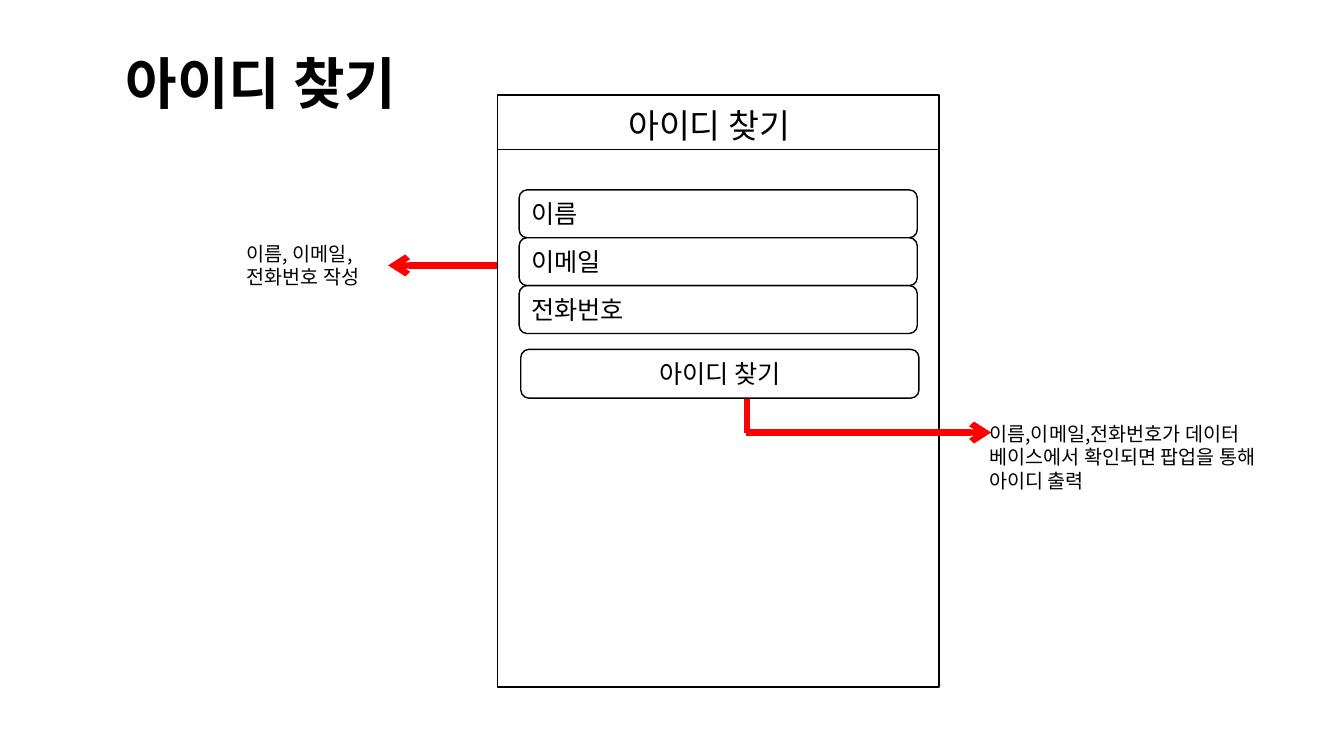
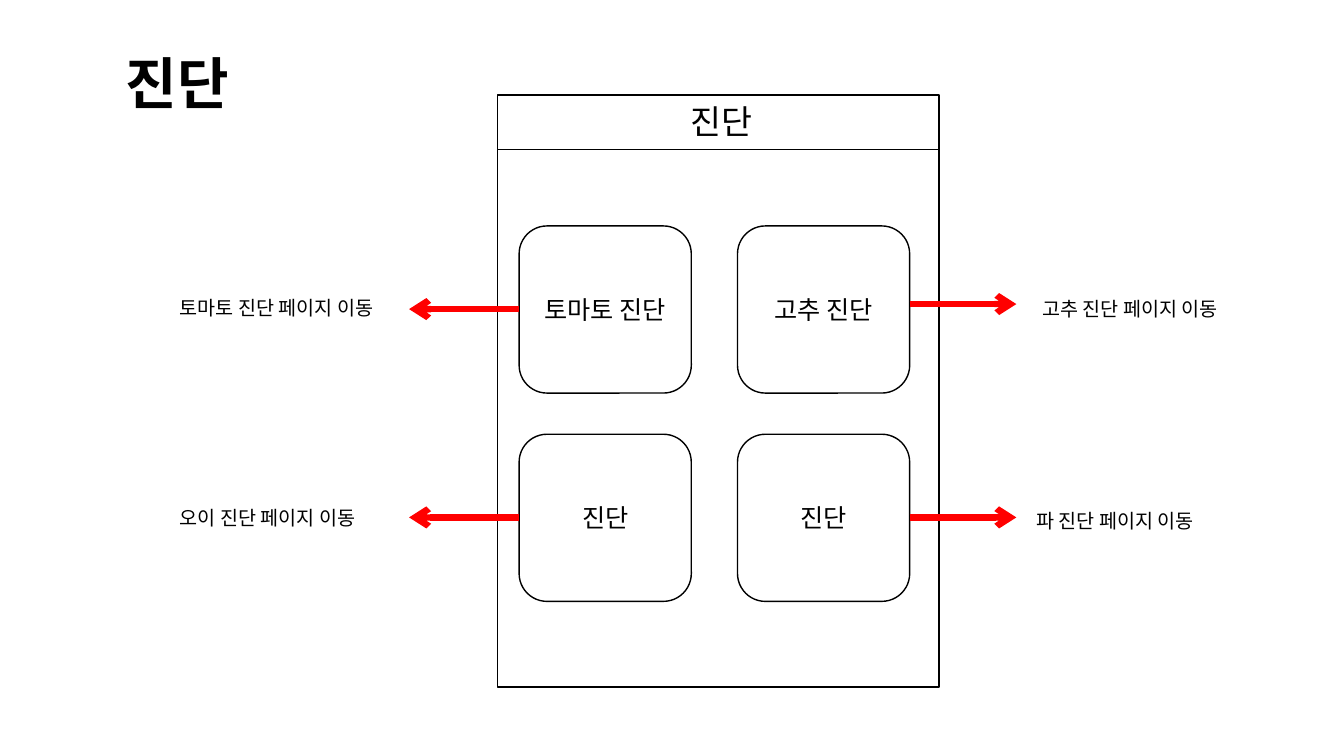
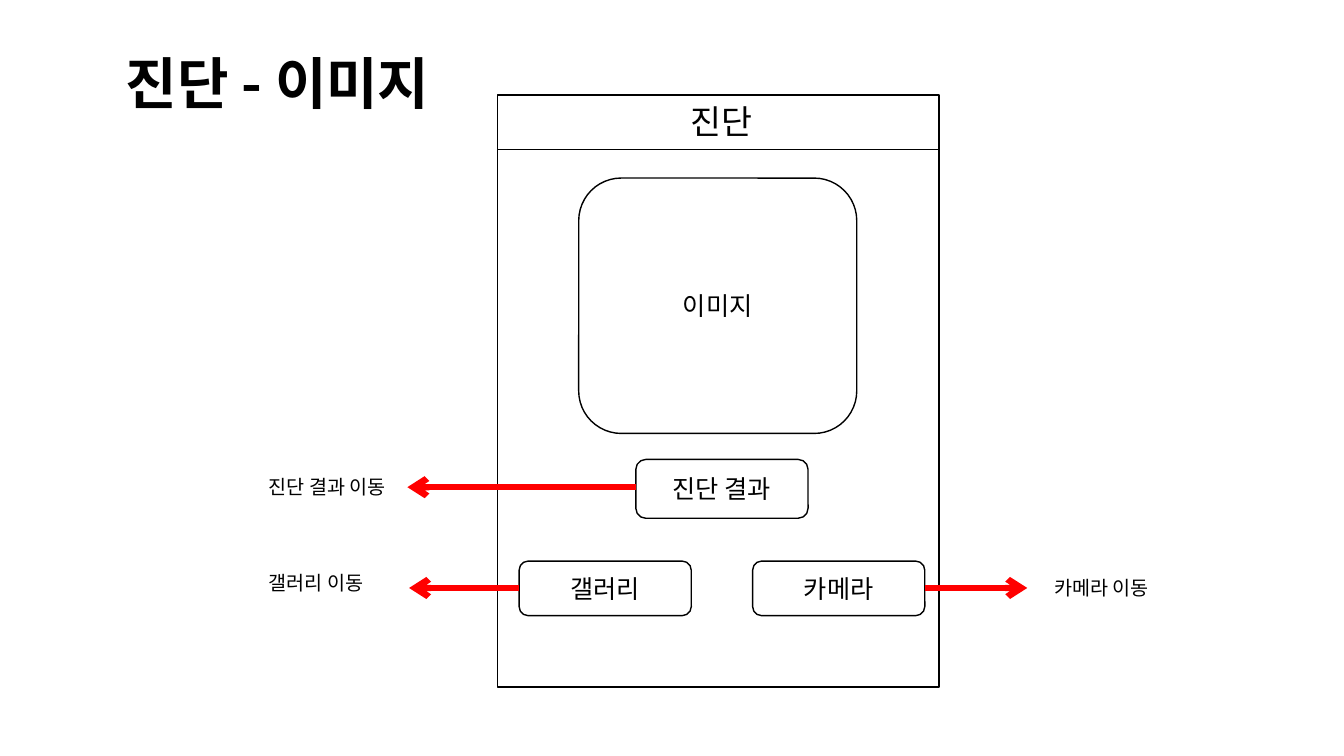
from dataclasses import dataclass

from pptx import Presentation
from pptx.dml.color import RGBColor
from pptx.enum.shapes import MSO_CONNECTOR, MSO_SHAPE
from pptx.enum.text import MSO_ANCHOR, MSO_AUTO_SIZE, PP_ALIGN
from pptx.oxml.ns import qn
from pptx.util import Inches, Pt
from lxml.etree import SubElement

CELL = Inches(1) // 12
COLUMNS, ROWS = 160, 90
TITLE_ONLY = 5


@dataclass(frozen=True)
class Theme:
    font: str = "Noto Sans CJK KR"
    ink: RGBColor = RGBColor(0, 0, 0)
    paper: RGBColor = RGBColor(255, 255, 255)
    accent: RGBColor = RGBColor(255, 0, 0)
    title: int = 40
    header: int = 24
    control: int = 18
    note: int = 14
    outline: float = 1
    arrow: float = 4.5


def cells(*counts):
    """Turn columns and rows of the grid into lengths."""
    return [round(count * CELL) for count in counts]


class Wireframes:
    """Slides with an app screen and red call-outs, laid out on a square grid."""

    title_box = (13.8, 5.2, 45.4, 9.2)
    screen_box = (59.2, 11.8, 52.6, 70)
    header_box = (59.2, 11.3, 52.6, 6.5)

    def __init__(self, theme):
        self.theme = theme
        self.deck = Presentation()
        self.deck.slide_width, self.deck.slide_height = cells(COLUMNS, ROWS)
        self.slide = None

    def screen(self, title, header, header_left=81, header_top=11.4):
        layout = self.deck.slide_layouts[TITLE_ONLY]
        self.slide = self.deck.slides.add_slide(layout)
        self.title(title)
        for box in (self.screen_box, self.header_box):
            self.panel(box, MSO_SHAPE.RECTANGLE)
        self.text((header_left, header_top, 30, 6), [header], self.theme.header)

    def title(self, words):
        heading = self.slide.shapes.title
        heading.left, heading.top, heading.width, heading.height = cells(*self.title_box)
        frame = heading.text_frame
        frame.auto_size = MSO_AUTO_SIZE.NONE
        frame.vertical_anchor = MSO_ANCHOR.TOP
        self.set_lines(frame, [words], self.theme.title, bold=True)

    def set_lines(self, frame, lines, size, align=PP_ALIGN.LEFT, bold=False):
        frame.word_wrap = True
        for index, words in enumerate(lines):
            paragraph = frame.add_paragraph() if index else frame.paragraphs[0]
            paragraph.alignment = align
            run = paragraph.add_run()
            run.text = words
            run.font.size = Pt(size)
            run.font.bold = bold
            run.font.color.rgb = self.theme.ink
            run.font.name = self.theme.font
            east_asian = SubElement(run._r.get_or_add_rPr(), qn("a:ea"))
            east_asian.set("typeface", self.theme.font)

    def text(self, box, lines, size):
        frame = self.slide.shapes.add_textbox(*cells(*box)).text_frame
        self.set_lines(frame, lines, size)

    def note(self, left, top, *lines, width=32, height=4.1):
        self.text((left, top, width, height), lines, self.theme.note)

    def panel(self, box, kind):
        panel = self.slide.shapes.add_shape(kind, *cells(*box))
        panel.shadow.inherit = False
        panel.fill.solid()
        panel.fill.fore_color.rgb = self.theme.paper
        panel.line.color.rgb = self.theme.ink
        panel.line.width = Pt(self.theme.outline)
        return panel

    def control(self, box, label, align=PP_ALIGN.CENTER):
        frame = self.panel(box, MSO_SHAPE.ROUNDED_RECTANGLE).text_frame
        frame.vertical_anchor = MSO_ANCHOR.MIDDLE
        self.set_lines(frame, [label], self.theme.control, align)

    def line(self, start, end, head=True):
        line = self.slide.shapes.add_connector(
            MSO_CONNECTOR.STRAIGHT, *cells(*start, *end))
        line.line.color.rgb = self.theme.accent
        line.line.width = Pt(self.theme.arrow)
        properties = line._element.spPr
        if head:
            SubElement(properties.find(qn("a:ln")), qn("a:tailEnd")).set("type", "arrow")
        SubElement(properties, qn("a:effectLst"))

    def arrow(self, start, end, row):
        self.line((start, row), (end, row))


def find_id(deck):
    deck.screen("아이디 찾기", "아이디 찾기", header_left=73.6, header_top=11.9)
    deck.arrow(59.2, 46.2, 31.6)
    deck.note(28.2, 28.2, "이름, 이메일,", "전화번호 작성", width=23.2, height=6.8)
    deck.arrow(88.8, 118, 51.5)
    deck.line((88.9, 46.9), (88.9, 51.6), head=False)
    deck.control((62, 41.6, 47.4, 5.8), "아이디 찾기")
    deck.note(116.6, 49.6, "이름,이메일,전화번호가 데이터",
              "베이스에서 확인되면 팝업을 통해 아이디 출력", width=35.4, height=9.7)
    for index, field in enumerate(["이름", "이메일", "전화번호"]):
        deck.control((61.8, 22.6 + 5.7 * index, 47.4, 5.7), field, PP_ALIGN.LEFT)


def diagnosis(deck):
    deck.screen("진단", "진단")
    left, right, width, height = 61.8, 87.8, 20.5, 19.9
    for row, labels in enumerate([("토마토 진단", "고추 진단"), ("진단", "진단")]):
        for column, label in zip((left, right), labels):
            deck.control((column, 26.9 + 24.8 * row, width, height), label)
    for row in (36.8, 61.6):
        deck.arrow(left, 48.7, row)
    for row in (36.2, 61.6):
        deck.arrow(right + width, 121, row)
    deck.note(20.2, 34.6, "토마토 진단 페이지 이동")
    deck.note(20.2, 59.6, "오이 진단 페이지 이동")
    deck.note(122.9, 34.8, "고추 진단 페이지 이동")
    deck.note(122.2, 60, "파 진단 페이지 이동")


def diagnosis_image(deck):
    deck.screen("진단 - 이미지", "진단")
    result, gallery, camera, width = 75.7, 61.8, 89.6, 20.5
    deck.control((68.9, 21.2, 33.1, 30.4), "이미지")
    deck.control((result, 54.7, width, 7), "진단 결과")
    deck.control((gallery, 66.8, width, 6.5), "갤러리")
    deck.control((camera, 66.8, width, 6.5), "카메라")
    deck.arrow(result, 48.5, 58)
    deck.arrow(gallery, 48.7, 70)
    deck.arrow(camera + width, 122.3, 70)
    deck.note(30.8, 55.9, "진단 결과 이동", width=19.2)
    deck.note(30.8, 67.4, "갤러리 이동", width=18)
    deck.note(124.3, 68, "카메라 이동")


def main():
    wireframes = Wireframes(Theme())
    for build in (find_id, diagnosis, diagnosis_image):
        build(wireframes)
    wireframes.deck.save("out.pptx")


if __name__ == "__main__":
    main()
